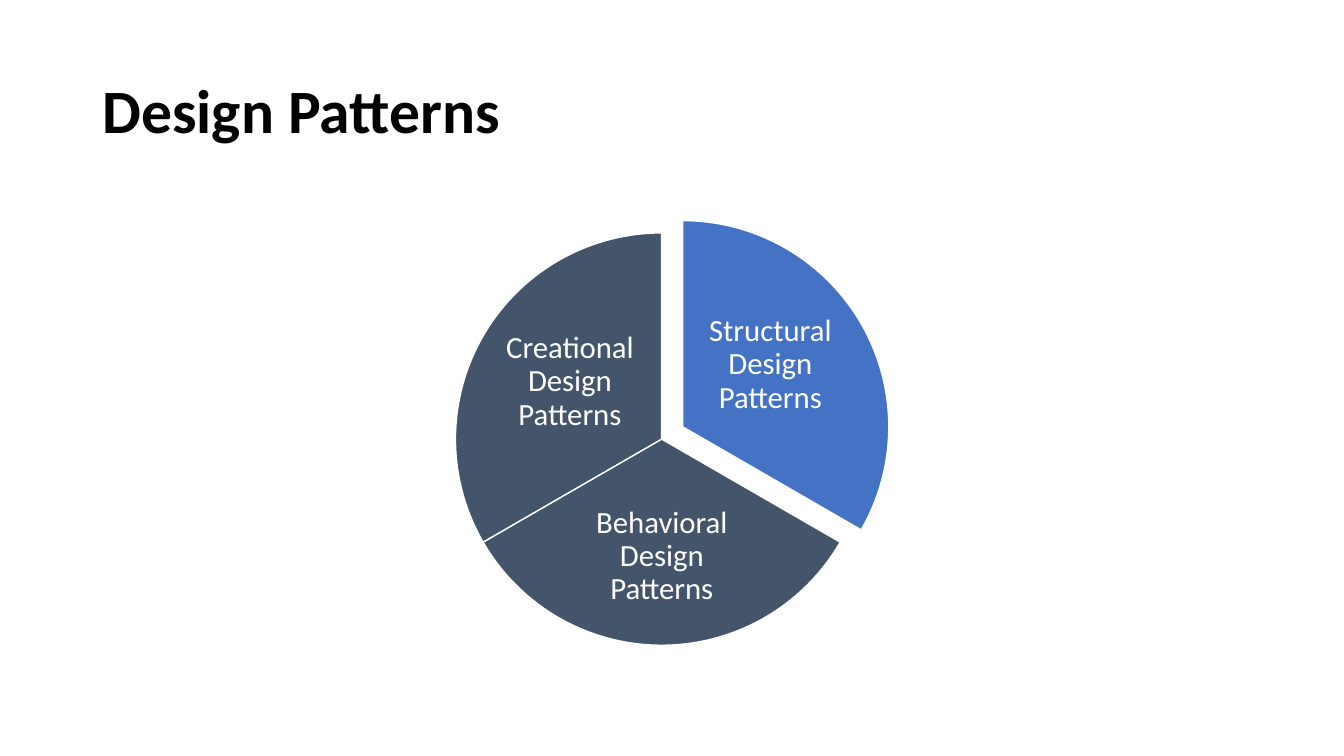
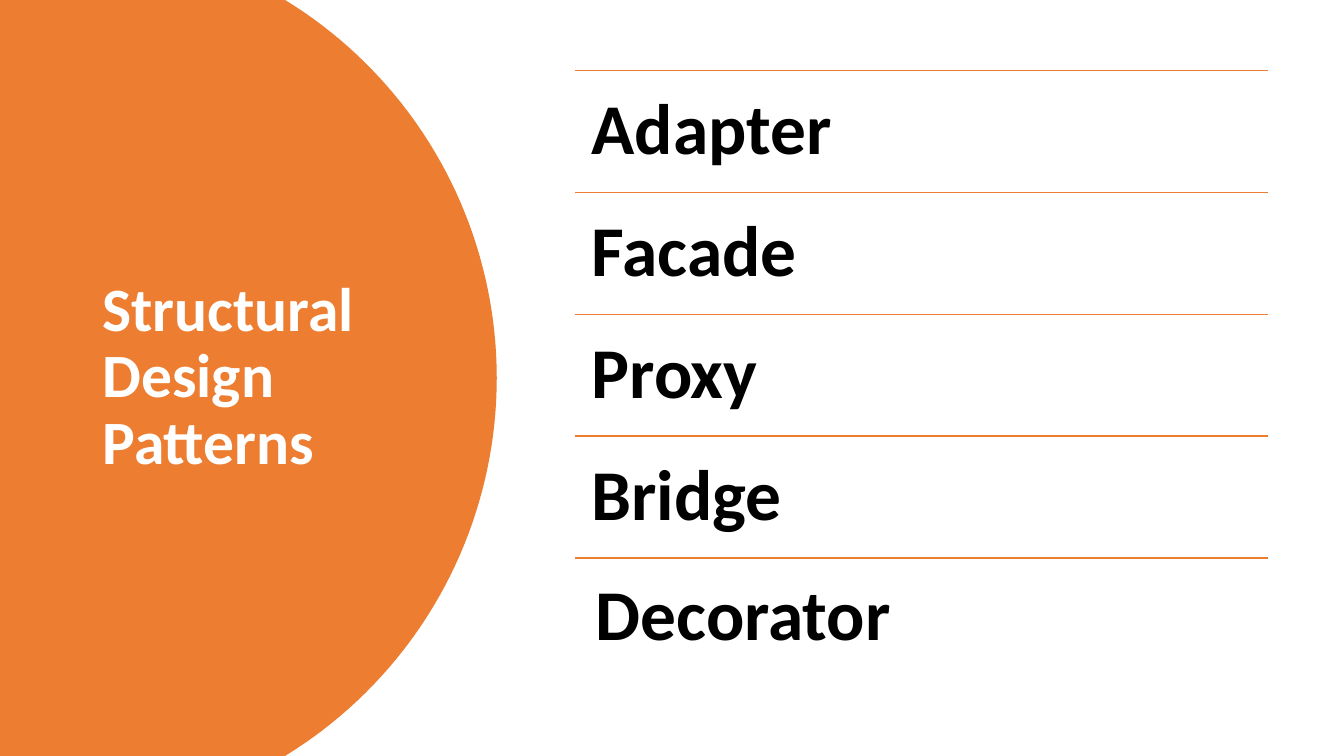
import math

from lxml import etree
from pptx import Presentation
from pptx.dml.color import RGBColor
from pptx.enum import shapes, text
from pptx.oxml.ns import qn
from pptx.util import Cm, Pt

# Content
PIE_TITLE = "Design Patterns"
SLICES = [  # label, fill, shift of the slice, label box (cm)
    ("Structural Design Patterns", "blue", (0.53, -0.31), (17.65, 7.47, 3.53, 3.45)),
    ("Behavioral Design Patterns", "slate", (0, 0), (14.33, 12.42, 4.7, 3.2)),
    ("Creational Design Patterns", "slate", (0, 0), (12.6, 7.9, 3.53, 3.45)),
]
LIST_TITLE = "Structural Design Patterns"
MIDDLE, TOP = text.MSO_ANCHOR.MIDDLE, text.MSO_ANCHOR.TOP
PATTERNS = [  # name, anchor, inset (cm)
    ("Adapter", MIDDLE, 0.43),
    ("Facade", MIDDLE, 0.43),
    ("Proxy", MIDDLE, 0.43),
    ("Bridge", MIDDLE, 0.43),
    ("Decorator", TOP, 0.53),
]

# Shared style and measures (cm)
COLORS = {"black": "000000", "white": "FFFFFF", "blue": "4472C4",
          "slate": "44546A", "orange": "ED7D31"}
FONT = "Calibri"
SLIDE_WIDTH, SLIDE_HEIGHT = 33.87, 19.05
PIE_LEFT, PIE_TOP, PIE_SIZE = 11.48, 5.87, 10.39
ROW_LEFT, ROW_TOP, ROW_WIDTH, ROW_HEIGHT = 14.48, 1.78, 17.48, 3.07
ARC_CENTER, ARC_RADIUS, ARC_STEPS = 1.35, 11.17, 80


def color(name):
    return RGBColor.from_string(COLORS[name])


def write(box, words, size, ink, bold=False, align=text.PP_ALIGN.LEFT,
          anchor=MIDDLE, inset=None):
    frame = box.text_frame
    frame.word_wrap = True
    frame.auto_size = text.MSO_AUTO_SIZE.NONE
    frame.vertical_anchor = anchor
    if inset is not None:
        frame.margin_left = frame.margin_right = Cm(inset)
        frame.margin_top = frame.margin_bottom = Cm(inset)
    para = frame.paragraphs[0]
    para.alignment = align
    para.line_spacing = 0.9
    para.space_before = Pt(0)
    span = para.add_run()
    span.text = words
    span.font.name = FONT
    span.font.size = Pt(size)
    span.font.bold = bold
    span.font.color.rgb = color(ink)


def add_page(deck, title, place, ink):
    page = deck.slides.add_slide(deck.slide_layouts[5])
    box = page.shapes.title
    box.left, box.top, box.width, box.height = map(Cm, place)
    write(box, title, 44, ink, bold=True)
    return page


def paint(shape, fill):
    shape.shadow.inherit = False
    shape.fill.solid()
    shape.fill.fore_color.rgb = color(fill)


def add_slice(page, index, fill, shift):
    part = page.shapes.add_shape(
        shapes.MSO_SHAPE.PIE, Cm(PIE_LEFT + shift[0]), Cm(PIE_TOP + shift[1]),
        Cm(PIE_SIZE), Cm(PIE_SIZE))
    # One degree is 60000 units, and an adjustment counts 100000 units
    sweep = 360 / len(SLICES)
    for end in (0, 1):
        part.adjustments[end] = (270 + sweep * (index + end)) % 360 * 0.6
    paint(part, fill)
    part.line.color.rgb = color("white")
    part.line.width = Pt(1)


def add_round_panel(page):
    half = SLIDE_HEIGHT / 2
    reach = math.asin(half / ARC_RADIUS)
    angles = [reach * (2 * step / ARC_STEPS - 1) for step in range(ARC_STEPS + 1)]
    arc = [(Cm(ARC_CENTER + ARC_RADIUS * math.cos(angle)),
            Cm(half + ARC_RADIUS * math.sin(angle))) for angle in angles]
    outline = page.shapes.build_freeform(0, 0)
    outline.add_line_segments(arc + [(0, Cm(SLIDE_HEIGHT))], close=True)
    panel = outline.convert_to_shape()
    paint(panel, "orange")
    panel.line.fill.background()
    page.shapes.title.element.addprevious(panel.element)  # behind the title


def add_rule(page, top):
    rule = page.shapes.add_connector(
        shapes.MSO_CONNECTOR.STRAIGHT, Cm(ROW_LEFT), Cm(top),
        Cm(ROW_LEFT + ROW_WIDTH), Cm(top))
    rule.line.color.rgb = color("orange")
    rule.line.width = Pt(1)
    etree.SubElement(rule.element.spPr, qn("a:effectLst"))


def build_pie_page(deck):
    page = add_page(deck, PIE_TITLE, (2.33, 1.01, 29.21, 3.68), "black")
    for index, (label, fill, shift, place) in enumerate(SLICES):
        add_slice(page, index, fill, shift)
        box = page.shapes.add_textbox(*map(Cm, place))
        write(box, label, 22, "white", align=text.PP_ALIGN.CENTER, inset=0.08)


def build_list_page(deck):
    page = add_page(deck, LIST_TITLE, (2.33, 1.78, 8.2, 15.47), "white")
    add_round_panel(page)
    for index, (name, anchor, inset) in enumerate(PATTERNS):
        top = ROW_TOP + index * ROW_HEIGHT
        add_rule(page, top)
        box = page.shapes.add_textbox(Cm(ROW_LEFT), Cm(top), Cm(ROW_WIDTH), Cm(ROW_HEIGHT))
        write(box, name, 51, "black", bold=True, anchor=anchor, inset=inset)


def main():
    deck = Presentation()
    deck.slide_width, deck.slide_height = Cm(SLIDE_WIDTH), Cm(SLIDE_HEIGHT)
    build_pie_page(deck)
    build_list_page(deck)
    deck.save("out.pptx")


if __name__ == "__main__":
    main()
